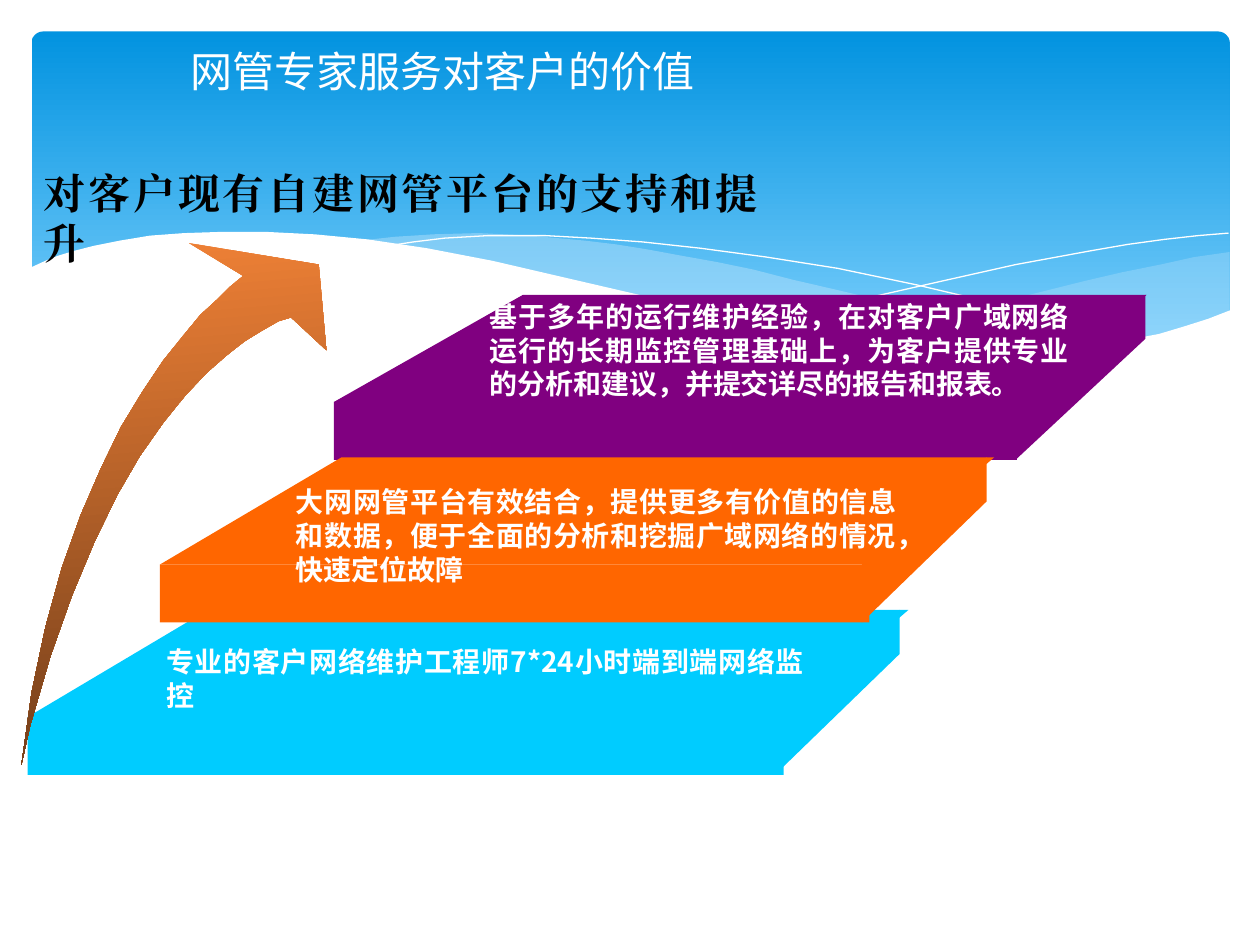
from lxml import etree
from pptx import Presentation
from pptx.dml.color import RGBColor
from pptx.enum import shapes, text
from pptx.oxml.ns import qn
from pptx.util import Inches, Pt

TITLE = "网管专家服务对客户的价值"
SUBTITLE = "对客户现有自建网管平台的支持和提升"

# Lengths in inches; side is the left edge of the slanted right face.
STEPS = [
    dict(color="00CCFF", left=0.22, top=4.84, inset=1.43, front=6.22, side=6.15, depth=0.99,
         box=(1.22, 5.07, 5.26, 0.64),
         words="专业的客户网络维护工程师7*24小时端到端网络监控"),
    dict(color="800080", left=2.65, top=2.34, inset=1.5, front=8.07, side=8.06, depth=1.03,
         box=(3.79, 2.33, 4.8, 0.9),
         words="基于多年的运行维护经验，在对客户广域网络运行的长期监控管理基础上，"
               "为客户提供专业的分析和建议，并提交详尽的报告和报表。"),
    dict(color="FF6600", left=1.27, top=3.63, inset=1.44, front=6.9, side=6.84, depth=0.99,
         box=(2.25, 3.8, 4.97, 0.9),
         words="大网网管平台有效结合，提供更多有价值的信息和数据，"
               "便于全面的分析和挖掘广域网络的情况，快速定位故障"),
]
TOP_HEIGHT, FRONT_HEIGHT, SIDE_HEIGHT = 0.85, 0.46, 0.35

RIGHT_WAVE = [
    (9.76, 2), (9.48, 2.04), (9.21, 2.1), (8.91, 2.16), (8.61, 2.23), (8.05, 2.37), (7.53, 2.48),
    (7.06, 2.57), (6.61, 2.65), (6.91, 2.69), (7.18, 2.73), (7.45, 2.75), (7.69, 2.77),
    (8.03, 2.78), (8.35, 2.77), (8.63, 2.75), (8.89, 2.72), (9.13, 2.67), (9.35, 2.62),
    (9.49, 2.57), (9.63, 2.52), (9.76, 2.47)]
MIDDLE_WAVE = [
    (8.93, 2.73), (8.66, 2.69), (8.37, 2.65), (8.07, 2.6), (7.75, 2.54), (7.41, 2.47),
    (7.06, 2.4), (6.68, 2.31), (6.29, 2.22), (5.98, 2.14), (5.69, 2.08), (5.41, 2.03),
    (5.14, 1.98), (4.89, 1.94), (4.64, 1.91), (4.2, 1.87), (3.8, 1.85), (3.44, 1.86),
    (3.13, 1.88), (2.86, 1.91), (3.23, 1.96), (3.62, 2.03), (4.04, 2.11), (4.49, 2.22),
    (4.91, 2.32), (5.3, 2.4), (5.66, 2.48), (6.01, 2.55), (6.34, 2.61), (6.65, 2.66),
    (6.95, 2.7), (7.22, 2.74), (7.48, 2.76), (7.73, 2.78), (8.07, 2.79), (8.38, 2.78),
    (8.67, 2.76)]
WHITE_WAVE = [
    (9.77, 2.46), (9.59, 2.53), (9.4, 2.59), (9.2, 2.65), (8.99, 2.69), (8.75, 2.73),
    (8.5, 2.75), (8.23, 2.77), (7.93, 2.76), (7.61, 2.75), (7.26, 2.72), (6.88, 2.68),
    (6.47, 2.62), (6.03, 2.54), (5.55, 2.45), (5.03, 2.33), (4.47, 2.2), (3.91, 2.07),
    (3.39, 1.97), (2.92, 1.9), (2.5, 1.86), (2.11, 1.84), (1.76, 1.84), (1.46, 1.85),
    (1.19, 1.87), (0.95, 1.91), (0.75, 1.95), (0.59, 1.99), (0.46, 2.03), (0.36, 2.07),
    (0.23, 2.13), (0.23, 3.29), (9.77, 3.29)]
FALLING_LINE = [
    (3.09, 1.95), (3.28, 1.92), (3.53, 1.89), (3.87, 1.87), (4.33, 1.87), (4.69, 1.89),
    (5.1, 1.92), (5.56, 1.97), (6.08, 2.04), (6.65, 2.13), (7.27, 2.26), (7.95, 2.42),
    (8.31, 2.51), (8.68, 2.61), (9.07, 2.72)]
RISING_LINE = [
    (6.13, 2.57), (6.52, 2.46), (6.95, 2.35), (7.48, 2.23), (8.06, 2.1), (8.66, 1.99),
    (8.95, 1.94), (9.24, 1.9), (9.51, 1.87), (9.75, 1.85)]
ARROW = [
    (0.17, 6.07), (0.25, 5.5), (0.36, 4.98), (0.49, 4.51), (0.64, 4.09), (0.8, 3.72),
    (0.96, 3.39), (1.13, 3.11), (1.29, 2.87), (1.45, 2.67), (1.59, 2.5), (1.72, 2.38),
    (1.82, 2.28), (1.93, 2.19), (1.5, 1.93), (2.53, 2.1), (2.59, 2.78), (2.31, 2.52),
    (2.21, 2.55), (2.07, 2.63), (1.94, 2.71), (1.8, 2.82), (1.64, 2.96), (1.47, 3.14),
    (1.3, 3.35), (1.11, 3.62), (0.93, 3.93), (0.75, 4.3), (0.57, 4.73), (0.4, 5.21),
    (0.24, 5.76)]


def rgb(value):
    return RGBColor.from_string(value)


def paint(shape, color, opacity=None):
    shape.shadow.inherit = False
    shape.line.fill.background()
    shape.fill.solid()
    shape.fill.fore_color.rgb = rgb(color)
    if opacity:
        fill_color = shape.element.spPr.find(qn("a:solidFill"))[0]
        etree.SubElement(fill_color, qn("a:alpha"), val=str(opacity * 1000))


def paint_gradient(shape, colors, angle):
    shape.shadow.inherit = False
    shape.line.fill.background()
    shape.fill.gradient()
    shape.fill.gradient_angle = angle
    for stop, color in zip(shape.fill.gradient_stops, colors):
        stop.color.rgb = rgb(color)


def add_outline(slide, points, close=True):
    start, *rest = [(Inches(x), Inches(y)) for x, y in points]
    builder = slide.shapes.build_freeform(*start)
    builder.add_line_segments(rest, close=close)
    return builder.convert_to_shape()


def add_curve(slide, points):
    curve = add_outline(slide, points, close=False)
    curve.shadow.inherit = False
    curve.fill.background()
    curve.line.color.rgb = rgb("FFFFFF")
    curve.line.width = Pt(0)


def format_text(paragraph, size, name, color, bold, align):
    paragraph.alignment = align
    font = paragraph.font
    font.size, font.name, font.bold = Pt(size), name, bold
    font.color.rgb = rgb(color)
    properties = paragraph._p.pPr.find(qn("a:defRPr"))
    etree.SubElement(properties, qn("a:ea"), typeface=name)


def add_text(slide, box, words, size, name, color, before, wrap=True):
    frame = slide.shapes.add_textbox(*map(Inches, box)).text_frame
    frame.word_wrap = wrap
    frame.auto_size = text.MSO_AUTO_SIZE.SHAPE_TO_FIT_TEXT
    paragraph = frame.paragraphs[0]
    paragraph.text = words
    paragraph.space_before = Pt(before)
    format_text(paragraph, size, name, color, True, text.PP_ALIGN.JUSTIFY)


def add_step(slide, color, left, top, inset, front, side, depth, box, words):
    """Draw one slab (side, top and front faces) with its text."""
    edge = top + TOP_HEIGHT
    bottom = edge + FRONT_HEIGHT
    back = side + depth
    paint(add_outline(slide, [(back, top + SIDE_HEIGHT), (side, bottom), (side, edge),
                              (back, top)]), color)
    paint(add_outline(slide, [(front, edge), (left, edge), (left + inset, top),
                              (front + depth, top)]), color)
    face = slide.shapes.add_shape(shapes.MSO_SHAPE.RECTANGLE, *map(
        Inches, (left, edge, front - left, FRONT_HEIGHT)))
    paint(face, color)
    add_text(slide, box, words, 16, "Noto Sans CJK SC", "FFFFFF", 4)


def add_backdrop(slide):
    panel = slide.shapes.add_shape(shapes.MSO_SHAPE.ROUNDED_RECTANGLE,
                                   *map(Inches, (0.25, 0.25, 9.51, 2.7)))
    panel.adjustments[0] = 0.034
    paint_gradient(panel, ("0293E0", "83D3FE"), 270)
    paint(add_outline(slide, RIGHT_WAVE), "C6E7FC", 29)
    paint(add_outline(slide, MIDDLE_WAVE), "C6E7FC", 40)
    add_curve(slide, FALLING_LINE)
    add_curve(slide, RISING_LINE)
    paint(add_outline(slide, WHITE_WAVE), "FFFFFF")


def place_title(slide):
    title = slide.shapes.title
    title.left, title.top, title.width, title.height = map(Inches, (0.51, 0.21, 6.01, 0.71))
    title.text_frame.text = TITLE
    title.text_frame.vertical_anchor = text.MSO_ANCHOR.MIDDLE
    format_text(title.text_frame.paragraphs[0], 24, "Calibri", "FFFFFF", False,
                text.PP_ALIGN.CENTER)
    title.element.getparent().append(title.element)  # in front of the backdrop


def main():
    presentation = Presentation()
    presentation.slide_width, presentation.slide_height = Inches(10), Inches(7.5)
    slide = presentation.slides.add_slide(presentation.slide_layouts[5])
    add_backdrop(slide)
    place_title(slide)
    lowest, *upper = STEPS
    add_step(slide, **lowest)
    paint_gradient(add_outline(slide, ARROW), ("F08136", "6F3C19"), 275)
    for step in upper:
        add_step(slide, **step)
    add_text(slide, (0.25, 1.28, 5.86, 0.5), SUBTITLE, 24, "Times New Roman", "000000", 6,
             wrap=False)
    presentation.save("out.pptx")


if __name__ == "__main__":
    main()
